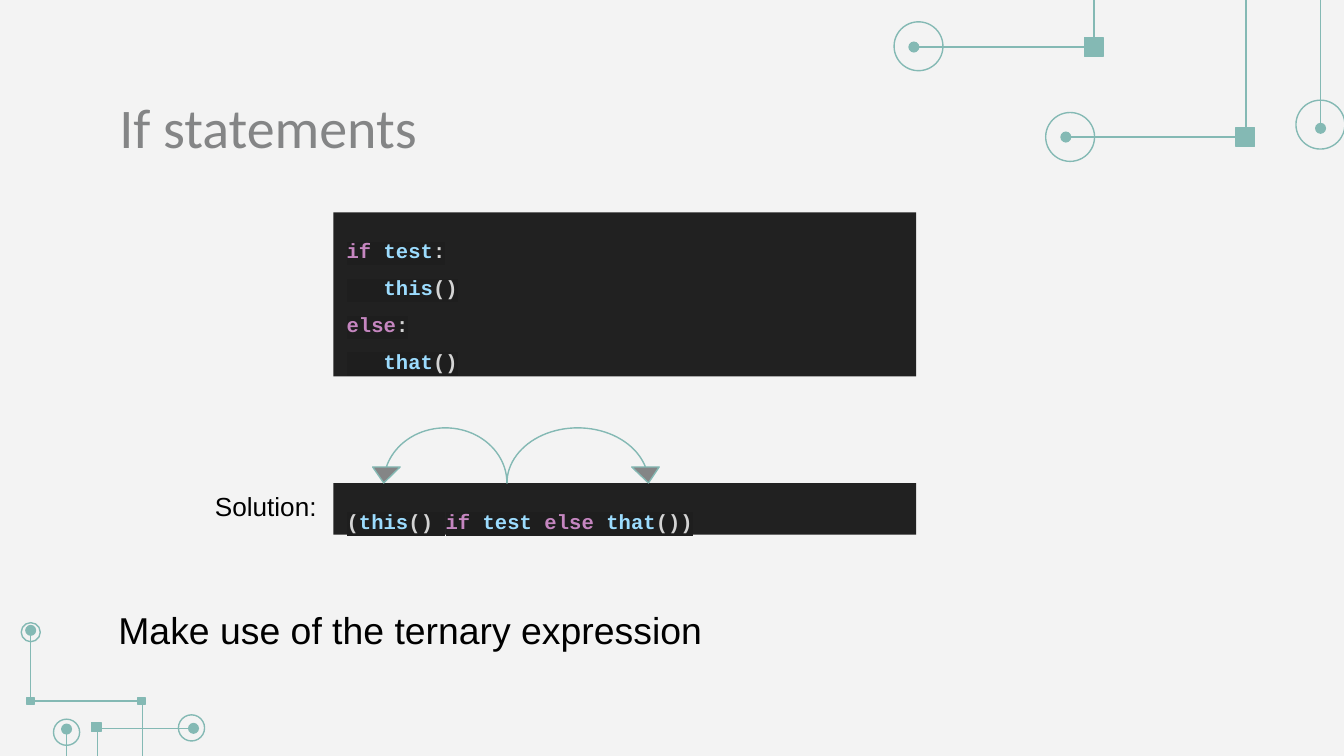
from lxml.etree import SubElement
from pptx import Presentation
from pptx.dml.color import RGBColor
from pptx.enum.shapes import MSO_CONNECTOR, MSO_SHAPE
from pptx.enum.text import MSO_ANCHOR, MSO_AUTO_SIZE, PP_ALIGN
from pptx.oxml import parse_xml
from pptx.oxml.ns import nsdecls, qn
from pptx.util import Pt

COLORS = {
    "background": "F3F3F3", "circuit": "84B9B4", "grey": "848586", "black": "000000",
    "panel": "212121", "highlight": "1E1E1E",
    "keyword": "C586C0", "name": "9CDCFE", "plain": "D4D4D4",
}


class SlideBuilder:
    """Holds the style and the current slide, and draws each kind of element."""

    def __init__(self, slide):
        self.slide = slide
        self.shapes = slide.shapes
        self.paint(slide.background.fill, "background")

    def paint(self, fill, color):
        fill.solid()
        fill.fore_color.rgb = RGBColor.from_string(COLORS[color])

    def outline(self, line):
        self.paint(line.fill, "circuit")
        line.width = Pt(0.75)

    def frame(self, shape):
        frame = shape.text_frame
        frame.word_wrap = True
        frame.auto_size = MSO_AUTO_SIZE.NONE
        frame.vertical_anchor = MSO_ANCHOR.TOP
        for side in ("left", "top", "right", "bottom"):
            setattr(frame, f"margin_{side}", Pt(7.2))
        return frame

    def add_text(self, frame, text, size, font, color):
        paragraph = frame.paragraphs[0]
        paragraph.alignment = PP_ALIGN.LEFT
        paragraph.space_before = Pt(0)
        run = paragraph.add_run()
        run.text = text
        run.font.size, run.font.name = Pt(size), font
        run.font.color.rgb = RGBColor.from_string(COLORS[color])

    def placeholder(self, holder, box, text, size, font, color):
        holder.left, holder.top, holder.width, holder.height = map(Pt, box)
        self.add_text(self.frame(holder), text, size, font, color)

    def label(self, box, text, size):
        self.add_text(self.frame(self.shapes.add_textbox(*map(Pt, box))), text, size, "Arial", "black")

    def shape(self, kind, box, fill=None, outlined=True):
        shape = self.shapes.add_shape(kind, *map(Pt, box))
        shape.shadow.inherit = False
        if fill:
            self.paint(shape.fill, fill)
        else:
            shape.fill.background()
        if outlined:
            self.outline(shape.line)
        else:
            shape.line.fill.background()
        return shape

    def trace(self, left, top, width, height, upright=False):
        trace = self.shapes.add_connector(
            MSO_CONNECTOR.ELBOW, Pt(left + width), Pt(top), Pt(left), Pt(top + height))
        self.outline(trace.line)
        properties = trace._element.spPr
        if upright:
            properties.find(qn("a:xfrm")).set("rot", "5400000")
        for end in ("a:headEnd", "a:tailEnd"):
            SubElement(properties.find(qn("a:ln")), qn(end), type="oval")
        SubElement(properties, qn("a:effectLst"))

    def arc(self, box, mirrored=False):
        arc = self.shape(MSO_SHAPE.CURVED_DOWN_ARROW, box, "grey")
        for index, value in enumerate((0, 0.5, 0.29)):
            arc.adjustments[index] = value
        if mirrored:
            arc._element.spPr.find(qn("a:xfrm")).set("flipH", "1")

    def code(self, box, lines):
        frame = self.frame(self.shape(MSO_SHAPE.RECTANGLE, box, "panel", outlined=False))
        for number, line in enumerate(lines):
            paragraph = frame.add_paragraph() if number else frame.paragraphs[0]
            paragraph.alignment = PP_ALIGN.LEFT
            paragraph.line_spacing = 1.5
            for text, color in line:
                run = paragraph.add_run()
                run.text = text
                font = run.font
                font.size, font.bold, font.name = Pt(11), True, "Courier New"
                font.color.rgb = RGBColor.from_string(COLORS[color])
                run._r.rPr.find(qn("a:solidFill")).addnext(parse_xml(
                    f'<a:highlight {nsdecls("a")}><a:srgbClr val="{COLORS["highlight"]}"/></a:highlight>'))


def main():
    deck = Presentation()
    deck.slide_width, deck.slide_height = Pt(720), Pt(405)
    page = SlideBuilder(deck.slides.add_slide(deck.slide_layouts[0]))

    for left, top, width, height, upright in (
            (489.6, -126.7, 193, 151.9, False), (535, -103.7, 193, 151.9, True),
            (571, -78.5, 193, 151.9, False), (0.7, 390.2, 103, 80.6, False),
            (24.5, 401.8, 103, 80.6, True), (8.6, 345.6, 75.6, 59.8, True)):
        page.trace(left, top, width, height, upright)
    for left, top, size in (
            (479, 11.7, 26.2), (694.3, 53.7, 26.2), (560.2, 60.3, 26.2),
            (95.6, 383, 14), (28.7, 385.3, 14), (11.4, 333.6, 10.2)):
        page.shape(MSO_SHAPE.OVAL, (left, top, size, size))
    for left, top, size in (
            (581, 20.2, 10), (662.2, 68.4, 10), (49.1, 387.1, 5),
            (14.4, 373.6, 3.8), (73.9, 373.6, 3.8)):
        page.shape(MSO_SHAPE.RECTANGLE, (left, top, size, size), "circuit")

    heading, advice = page.slide.placeholders
    page.placeholder(heading, (56.7, 42.5, 607, 44), "If statements", 30, "Calibri", "grey")
    page.placeholder(advice, (56.2, 318.2, 607, 44),
                     "Make use of the ternary expression", 20, "Arial", "black")

    page.code((178.6, 113.8, 312.2, 87.8), (
        (("if", "keyword"), (" ", "plain"), ("test", "name"), (":", "plain")),
        (("   ", "plain"), ("this", "name"), ("()", "plain")),
        (("else", "keyword"), (":", "plain")),
        (("   ", "plain"), ("that", "name"), ("()", "plain")),
    ))
    page.code((178.6, 258.8, 312.2, 27.6), ((
        ("(", "plain"), ("this", "name"), ("() ", "plain"), ("if", "keyword"), (" ", "plain"),
        ("test", "name"), (" ", "plain"), ("else", "keyword"), (" ", "plain"),
        ("that", "name"), ("())", "plain")),))
    page.arc((198.2, 229.2, 73.4, 29.5), mirrored=True)
    page.arc((271.6, 229.2, 83.2, 29.5))
    page.label((108, 255.8, 70.6, 31.7), "Solution:", 14)

    deck.save("out.pptx")


if __name__ == "__main__":
    main()
